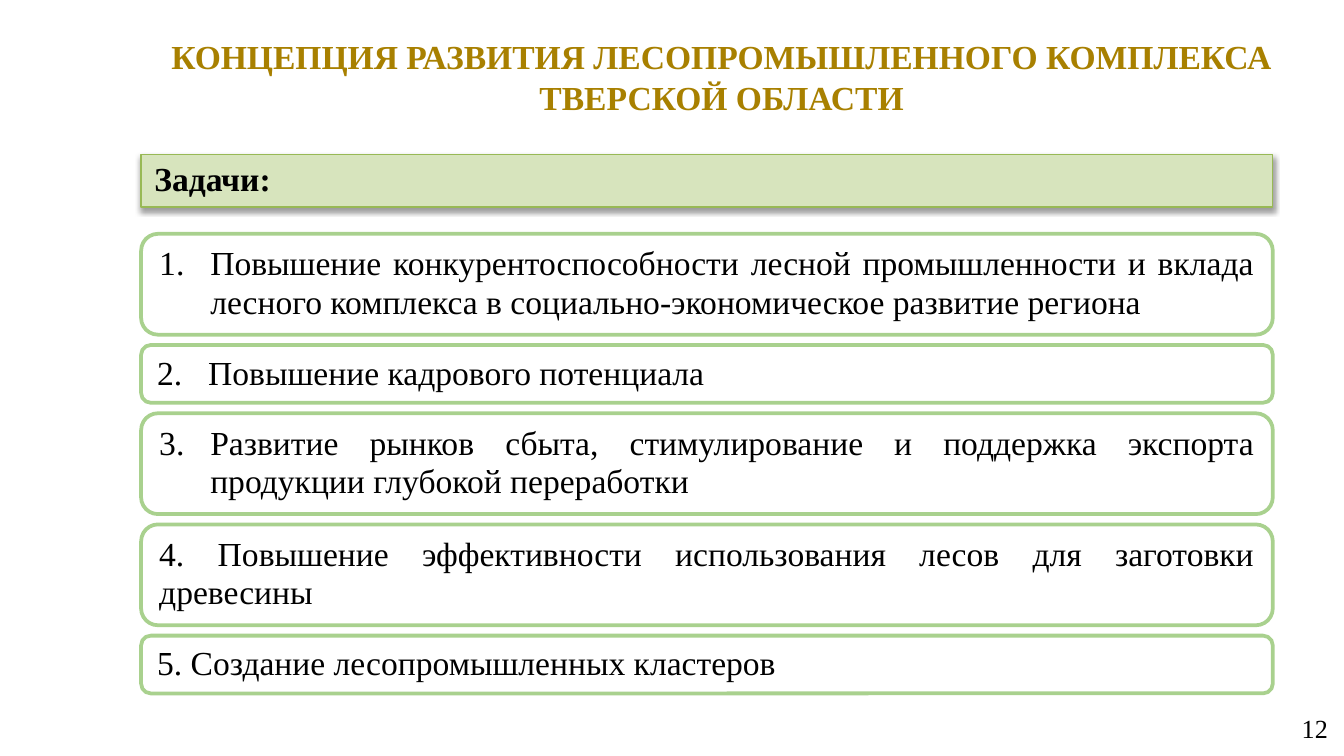
from lxml.etree import SubElement
from pptx import Presentation
from pptx.dml.color import RGBColor
from pptx.enum.shapes import MSO_SHAPE
from pptx.enum.text import MSO_ANCHOR, MSO_AUTO_SIZE, PP_ALIGN
from pptx.oxml.ns import qn
from pptx.util import Inches, Pt

TITLE = "КОНЦЕПЦИЯ РАЗВИТИЯ ЛЕСОПРОМЫШЛЕННОГО КОМПЛЕКСА ТВЕРСКОЙ ОБЛАСТИ"
HEADING = "Задачи:"
PAGE_NUMBER = "12"
TASKS = [
    (1, 0.75, "Повышение конкурентоспособности лесной промышленности и вклада "
              "лесного комплекса в социально-экономическое развитие региона"),
    (2, 0.43, "Повышение кадрового потенциала"),
    (3, 0.75, "Развитие рынков сбыта, стимулирование и поддержка экспорта "
              "продукции глубокой переработки"),
    (None, 0.75, "4. Повышение эффективности использования лесов для заготовки древесины"),
    (None, 0.43, "5. Создание лесопромышленных кластеров "),
]
LEFT, WIDTH = 1.05, 8.42
HEADING_TOP, HEADING_HEIGHT = 1.15, 0.39
TASKS_TOP, TASKS_BOTTOM = 1.74, 5.16
NUMBER_INDENT = 0.38


def color(value):
    return RGBColor.from_string(value)


def write(shape, text, size=18, ink="000000", bold=False, align=PP_ALIGN.LEFT,
          spacing=None, number=None):
    paragraph = shape.text_frame.paragraphs[0]
    paragraph.text = text
    paragraph.alignment = align
    if spacing:
        paragraph.line_spacing = spacing
    if number:
        properties = paragraph._p.get_or_add_pPr()
        properties.set("marL", str(Inches(NUMBER_INDENT)))
        properties.set("indent", str(-Inches(NUMBER_INDENT)))
        SubElement(properties, qn("a:buFont"), typeface="+mj-lt")
        SubElement(properties, qn("a:buAutoNum"), type="arabicPeriod", startAt=str(number))
    font = paragraph.font
    font.name, font.size, font.bold = "Times New Roman", Pt(size), bold
    font.color.rgb = color(ink)


def set_margins(frame):
    frame.word_wrap = True
    frame.margin_left = frame.margin_right = Inches(0.07)
    frame.margin_top = frame.margin_bottom = Inches(0.04)


def add_panel(slide, kind, top, height, fill, line, line_width):
    panel = slide.shapes.add_shape(kind, Inches(LEFT), Inches(top), Inches(WIDTH), Inches(height))
    panel.shadow.inherit = False
    panel.fill.solid()
    panel.fill.fore_color.rgb = color(fill)
    panel.line.color.rgb = color(line)
    panel.line.width = Pt(line_width)
    frame = panel.text_frame
    frame.word_wrap = True
    frame.auto_size = MSO_AUTO_SIZE.SHAPE_TO_FIT_TEXT
    frame.vertical_anchor = MSO_ANCHOR.TOP
    return panel


def add_shadow(panel):
    effects = panel._element.spPr.find(qn("a:effectLst"))
    shadow = SubElement(effects, qn("a:outerShdw"), blurRad=str(Pt(3.1)), dist=str(Pt(1.6)),
                        dir="5400000", rotWithShape="0")
    shade = SubElement(shadow, qn("a:srgbClr"), val="000000")
    SubElement(shade, qn("a:alpha"), val="38000")


def main():
    deck = Presentation()
    deck.slide_width = Inches(10)
    deck.slide_height = deck.slide_width * 9 // 16
    slide = deck.slides.add_slide(deck.slide_layouts[5])

    title = slide.shapes.title
    title.left, title.top = Inches(0.8), Inches(0.21)
    title.width, title.height = Inches(9.14), Inches(0.72)
    set_margins(title.text_frame)
    title.text_frame.auto_size = MSO_AUTO_SIZE.NONE
    title.text_frame.vertical_anchor = MSO_ANCHOR.MIDDLE
    write(title, TITLE, ink="A88000", bold=True, align=PP_ALIGN.CENTER)

    heading = add_panel(slide, MSO_SHAPE.RECTANGLE, HEADING_TOP, HEADING_HEIGHT,
                        "D7E4BD", "98B955", 0.75)
    add_shadow(heading)
    write(heading, HEADING, bold=True, spacing=0.95)

    filled = sum(height for _, height, _ in TASKS)
    gap = (TASKS_BOTTOM - TASKS_TOP - filled) / (len(TASKS) - 1)
    top = TASKS_TOP
    for number, height, text in TASKS:
        task = add_panel(slide, MSO_SHAPE.ROUNDED_RECTANGLE, top, height, "FFFFFF", "A9D18E", 2)
        write(task, text, align=PP_ALIGN.JUSTIFY, spacing=0.95, number=number)
        top += height + gap

    page = slide.shapes.add_textbox(Inches(7.7), Inches(5.26), Inches(2.25), Inches(0.3))
    set_margins(page.text_frame)
    write(page, PAGE_NUMBER, size=14, align=PP_ALIGN.RIGHT)

    deck.save("out.pptx")


if __name__ == "__main__":
    main()
